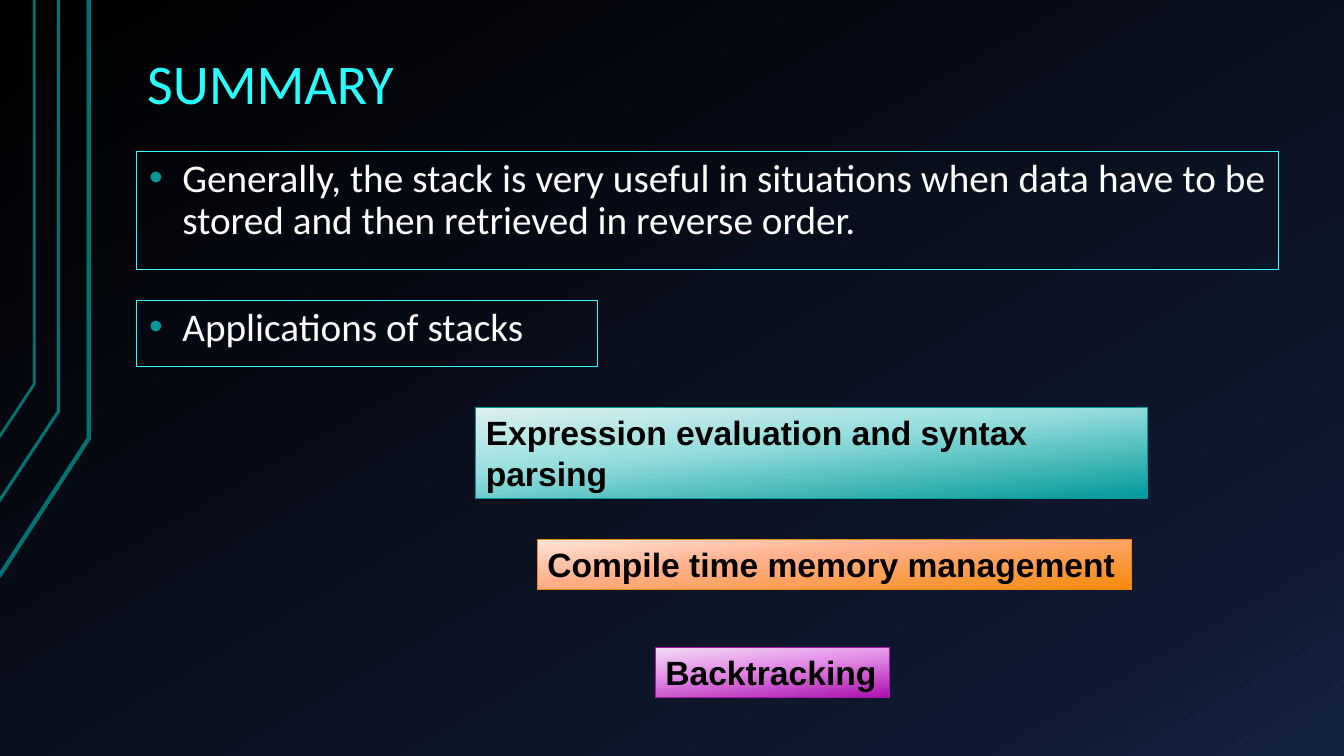
from pptx import Presentation
from pptx.dml.color import RGBColor
from pptx.enum.shapes import MSO_SHAPE
from pptx.enum.text import MSO_ANCHOR, MSO_AUTO_SIZE, PP_ALIGN
from pptx.oxml.ns import qn
from pptx.util import Inches, Pt
from lxml import etree

RECT = MSO_SHAPE.RECTANGLE
LEFT, JUSTIFY = PP_ALIGN.LEFT, PP_ALIGN.JUSTIFY
TOP, BOTTOM = MSO_ANCHOR.TOP, MSO_ANCHOR.BOTTOM
NO_FIT, GROW = MSO_AUTO_SIZE.NONE, MSO_AUTO_SIZE.SHAPE_TO_FIT_TEXT
CYAN, TEAL = "29FFFF", "009999"


def rgb(code):
    return RGBColor.from_string(code)


def grade(fill, root, stops, angle):
    """Fill with a linear gradient of any number of stops, angle clockwise."""
    fill.gradient()
    fill.gradient_angle = 360 - angle
    group = next(root.iter(qn("a:gsLst")))
    for stop in list(group):
        group.remove(stop)
    for place, code in stops:
        stop = etree.SubElement(group, qn("a:gs"), pos=str(place * 1000))
        etree.SubElement(stop, qn("a:srgbClr"), val=code)


prs = Presentation()
prs.slide_width, prs.slide_height = Inches(13.33), Inches(7.5)
slide = prs.slides.add_slide(prs.slide_layouts[1])
shapes = slide.shapes

# Background
grade(slide.background.fill, slide.element,
      [(0, "000000"), (85, "0F1931"), (100, "142242")], 60)

# Bent lines at the left edge: start, bend, width
for start, bend, width in [
    ((-0.01, 5.72), (0.88, 4.35), 3),
    ((-0.02, 4.99), (0.58, 4.08), 2.25),
    ((-0.01, 4.34), (0.34, 3.81), 2),
]:
    pen = shapes.build_freeform(Inches(start[0]), Inches(start[1]))
    pen.add_line_segments(
        [(Inches(x), Inches(y)) for x, y in (bend, (bend[0], 0))], close=False)
    bent = pen.convert_to_shape()
    bent.shadow.inherit = False
    bent.fill.background()
    bent.line.color.rgb = rgb("007373")
    bent.line.width = Pt(width)

# Title and the two framed bullets
title, body = shapes.title, slide.placeholders[1]
apps = shapes.add_textbox(0, 0, 0, 0)
for box, spot, text, size, color, anchor, align in [
    (title, (1.33, 0.42, 11.33, 0.81), "SUMMARY", 40, CYAN, BOTTOM, LEFT),
    (body, (1.35, 1.5, 11.33, 1.17),
     "Generally, the stack is very useful in situations when data have to be "
     "stored and then retrieved in reverse order.", 28, "FFFFFF", TOP, JUSTIFY),
    (apps, (1.35, 2.98, 4.58, 0.66), "Applications of stacks", 28, "FFFFFF",
     TOP, LEFT),
]:
    box.left, box.top, box.width, box.height = map(Inches, spot)
    frame = box.text_frame
    frame.text = text
    frame.word_wrap = True
    frame.auto_size = NO_FIT
    frame.vertical_anchor = anchor
    frame.margin_left = frame.margin_right = Inches(0.13)
    frame.margin_top = frame.margin_bottom = Inches(0.07)
    para = frame.paragraphs[0]
    para.alignment = align
    para.line_spacing = 0.9
    para.font.name = "Calibri"
    para.font.size = Pt(size)
    para.font.color.rgb = rgb(color)
    if box is title:
        continue
    box.line.color.rgb = rgb(CYAN)
    box.line.width = Pt(0.75)
    para.space_before = Pt(16)
    props = para._p.get_or_add_pPr()
    props.set("marL", str(Inches(0.33)))
    props.set("indent", str(-Inches(0.33)))
    tint = etree.SubElement(props, qn("a:buClr"))
    etree.SubElement(tint, qn("a:srgbClr"), val=TEAL)
    etree.SubElement(props, qn("a:buFont"), typeface="Arial")
    etree.SubElement(props, qn("a:buChar"), char="•")
    # Bullet settings come before the paragraph's default font
    props.append(props.find(qn("a:defRPr")))

# Application labels
for spot, text, colors, edge, wrap in [
    ((4.72, 4.04, 6.66, 0.91), "Expression evaluation and syntax parsing",
     ("DEEFEF", "9ADFDF", TEAL), TEAL, True),
    ((5.33, 5.35, 5.89, 0.5), "Compile time memory management",
     ("FFE5DA", "FFAE89", "F48A0A"), "E98915", False),
    ((6.5, 6.42, 2.32, 0.5), "Backtracking",
     ("F1DDF2", "E593E8", "AB12AE"), "A419A7", False),
]:
    label = shapes.add_shape(RECT, *map(Inches, spot))
    label.shadow.inherit = False
    grade(label.fill, label.element, zip((0, 40, 100), colors), 84)
    label.line.color.rgb = rgb(edge)
    label.line.width = Pt(0.75)
    frame = label.text_frame
    frame.text = text
    frame.word_wrap = wrap
    frame.auto_size = GROW
    frame.vertical_anchor = TOP
    para = frame.paragraphs[0]
    para.alignment = LEFT
    para.font.name = "Arial"
    para.font.size = Pt(24)
    para.font.bold = True
    para.font.color.rgb = rgb("000000")

prs.save("out.pptx")
